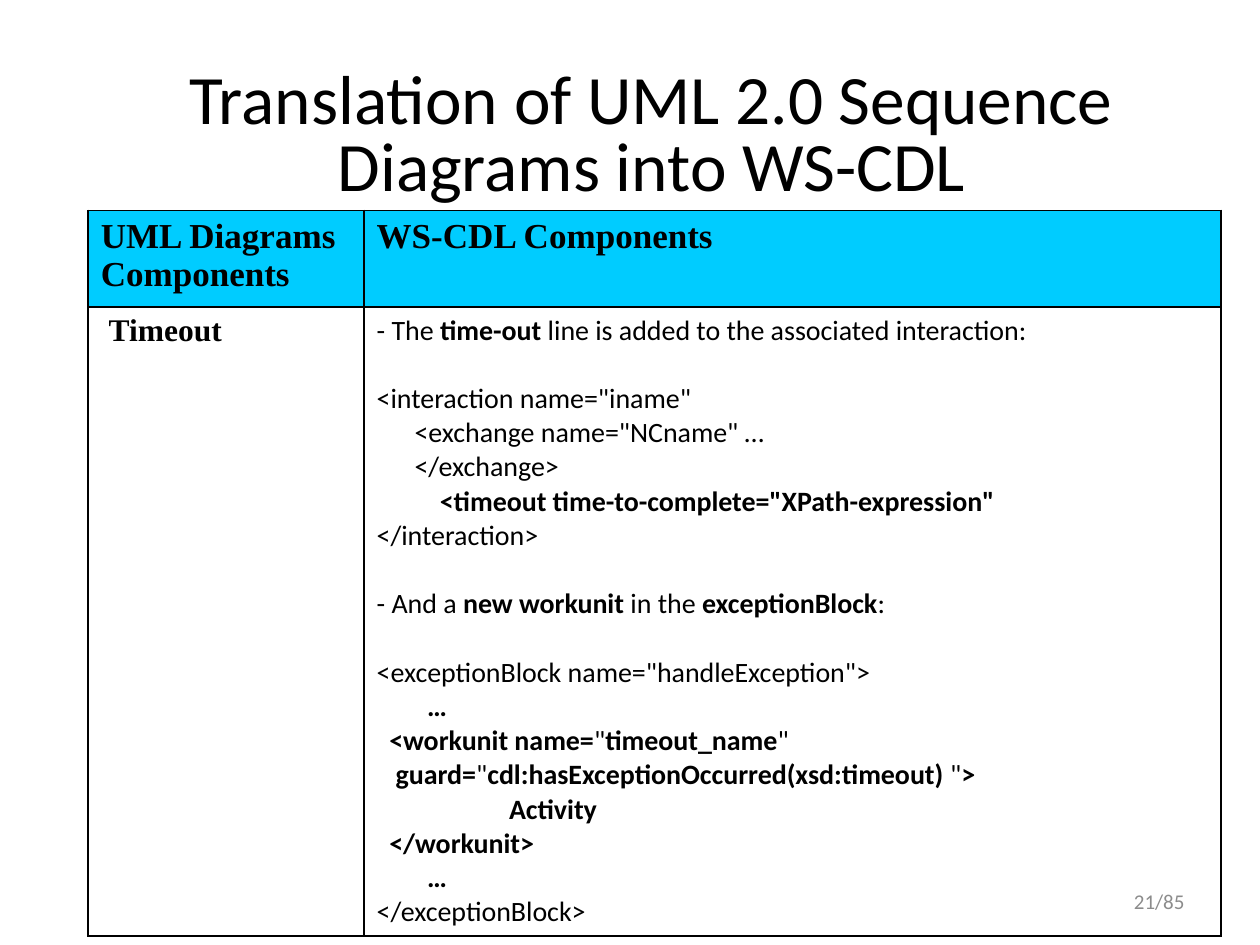
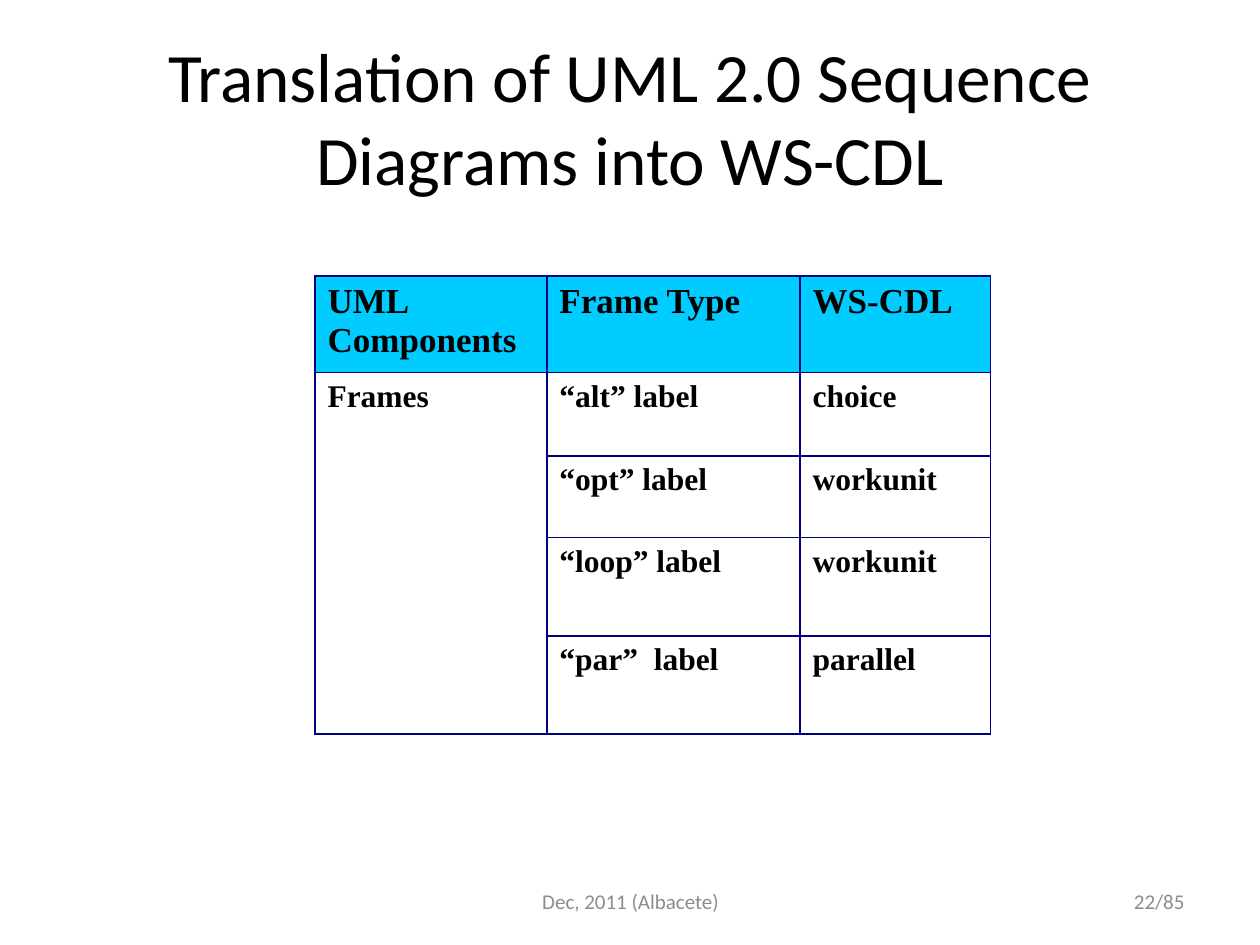
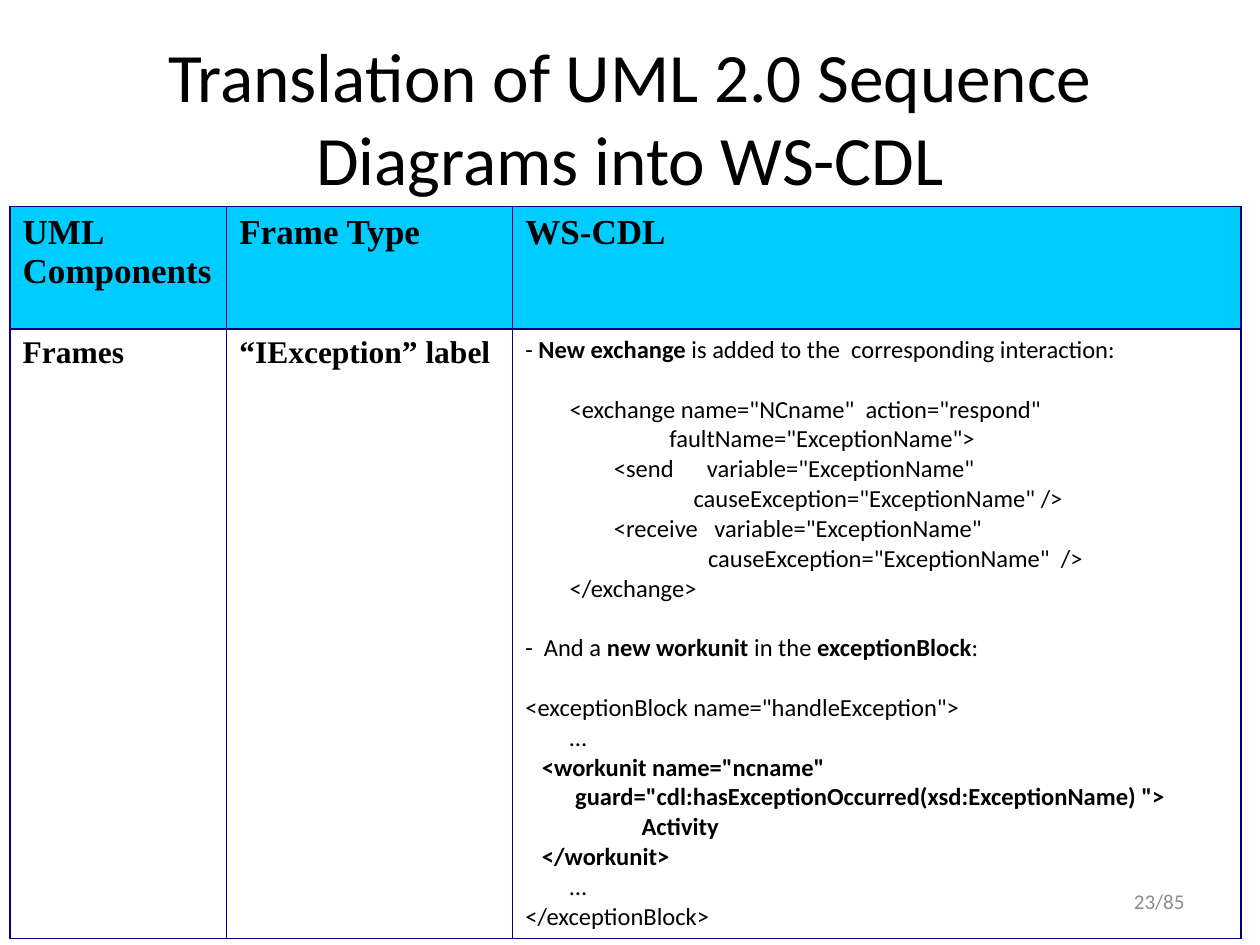
import dataclasses

import pptx
import pptx.dml.color
import pptx.enum.text
import pptx.oxml
import pptx.oxml.ns
import pptx.util

ALIGN = pptx.enum.text.PP_ALIGN
MIDDLE = pptx.enum.text.MSO_ANCHOR.MIDDLE
COLS, ROWS = 100, 75
UNIT = pptx.util.Inches(0.1)


@dataclasses.dataclass(frozen=True)
class Theme:
    ink: str = "000000"
    grey: str = "8C8C8C"
    head: str = "00CCFF"
    navy: str = "000080"
    sans: str = "Calibri"
    serif: str = "Times New Roman"
    hang: float = 3.8
    pitch: float = 1.22

    def look(self, name):
        """Return the font values and the colour of a named text style."""
        size, face, bold, tint = {
            "title": (39.6, self.sans, False, self.ink),
            "foot": (12, self.sans, False, self.grey),
            "head": (20, self.serif, True, self.ink),
            "label": (18, self.serif, True, self.ink),
            "code": (16, self.sans, False, self.ink),
            "small": (14, self.sans, False, self.ink),
        }[name]
        return {"size": pptx.util.Pt(size), "name": face, "bold": bold}, tint


@dataclasses.dataclass(frozen=True)
class Cell:
    text: str
    look: str = "label"
    pad: float = 0


THEME = Theme()
TITLE = "Translation of UML 2.0 Sequence Diagrams into WS-CDL"
TOTAL = 85
HIGH = (5, 3, 90, 12.5)
LOW = (6.7, 4.7, 90, 12.5)
DATE = (34.2, 69.5, 31.7, 4)
PAGE = (71.7, 69.5, 23.3, 4)

TIMEOUT = """- The *time-out* line is added to the associated interaction:

<interaction name="iname"
      <exchange name="NCname" …
      </exchange>
          *<timeout time-to-complete="XPath-expression"*
</interaction>

- And a *new workunit* in the *exceptionBlock*:

<exceptionBlock name="handleException">
       * …*
*  <workunit name=*"*timeout_name*"
*   guard=*"*cdl:hasExceptionOccurred(xsd:timeout)* "*>*
*                     Activity*
*  </workunit>*
*        …*
</exceptionBlock>"""

FAULT = """- *New exchange* is added to the  corresponding interaction:

        <exchange name="NCname"  action="respond"
                          faultName="ExceptionName">
                <send      variable="ExceptionName"
\t                   causeException="ExceptionName" />
                <receive   variable="ExceptionName"
                                 causeException="ExceptionName"  />
        </exchange>

-  And a *new workunit* in the *exceptionBlock*:

<exceptionBlock name="handleException">
        …
   *<workunit name="ncname"*
*         guard="cdl:hasExceptionOccurred(xsd:ExceptionName) ">*
*                     Activity*
*   </workunit>*
        …
</exceptionBlock>"""


def span(count):
    return pptx.util.Emu(round(count * UNIT))


def color(tint):
    return pptx.dml.color.RGBColor.from_string(tint)


def write(frame, text, look, align, pad=None):
    """Fill a frame line by line; stars switch bold, an empty line adds space."""
    font, tint = THEME.look(look)
    gap, first = 0, True
    for line in text.split("\n"):
        if not line:
            gap = font["size"] * THEME.pitch
            continue
        para = frame.paragraphs[0] if first else frame.add_paragraph()
        first = False
        para.alignment = align
        if pad is not None:
            props = para._p.get_or_add_pPr()
            props.set("marL", str(span(THEME.hang + pad)))
            props.set("indent", str(span(-THEME.hang)))
        if gap:
            para.space_before = pptx.util.Emu(round(gap))
            gap = 0
        for turn, part in enumerate(line.split("*")):
            if not part:
                continue
            run = para.add_run()
            run.text = part
            for key, value in font.items():
                setattr(run.font, key, value)
            run.font.bold = font["bold"] or turn % 2 == 1
            run.font.color.rgb = color(tint)


def label(slide, box, text, look, align, lead=None):
    frame = slide.shapes.add_textbox(*map(span, box)).text_frame
    frame.word_wrap = True
    frame.vertical_anchor = MIDDLE
    write(frame, text, look, align)
    frame.paragraphs[0].line_spacing = lead


def edge(cell, tint):
    """Draw the four borders of a cell."""
    props = cell._tc.get_or_add_tcPr()
    for side in "LRTB":
        props.append(pptx.oxml.parse_xml(
            f'<a:ln{side} {pptx.oxml.ns.nsdecls("a")} w="{pptx.util.Pt(1)}">'
            f'<a:solidFill><a:srgbClr val="{tint}"/></a:solidFill></a:ln{side}>'))


def grid(slide, box, wide, tall, heads, rows, tint, just):
    """Place a table whose columns and rows take shares of the box."""
    data = [[Cell(head, "head") for head in heads]] + rows
    table = slide.shapes.add_table(len(tall), len(wide), *map(span, box)).table
    table.first_row = table.horz_banding = False
    for col, share in zip(table.columns, wide):
        col.width = span(box[2] * share / sum(wide))
    for row, share in zip(table.rows, tall):
        row.height = span(box[3] * share / sum(tall))
    for y, line in enumerate(data):
        for x, item in enumerate(line):
            cell = table.cell(y, x)
            edge(cell, tint)
            if y == 0:
                cell.fill.solid()
                cell.fill.fore_color.rgb = color(THEME.head)
            else:
                cell.fill.background()
            if item is None:
                continue
            last = x == len(wide) - 1
            align = ALIGN.JUSTIFY if just and not last else ALIGN.LEFT
            pad = item.pad if item.look in ("head", "label") else None
            write(cell.text_frame, item.text, item.look, align, pad)
    if len(rows) > 1:
        table.cell(1, 0).merge(table.cell(len(rows), 0))


def sheet(deck, page, spot, table, lead=None, date=None):
    """Add a slide with title, table and footers."""
    slide = deck.slides.add_slide(deck.slide_layouts[6])
    if date:
        label(slide, DATE, date, "foot", ALIGN.CENTER)
    label(slide, spot, TITLE, "title", ALIGN.CENTER, lead)
    grid(slide, **table)
    label(slide, PAGE, f"{page}/{TOTAL}", "foot", ALIGN.RIGHT)


def main():
    deck = pptx.Presentation()
    deck.slide_width, deck.slide_height = span(COLS), span(ROWS)
    heads = ["UML\nComponents", "Frame Type", "WS-CDL"]
    kinds = [("“alt” label", "choice"), ("“opt” label", "workunit"),
             ("“loop” label", "workunit"), ("“par”  label", "parallel")]
    frames = [[None, Cell(kind), Cell(goal)] for kind, goal in kinds]
    frames[0][0] = Cell("Frames")

    sheet(deck, 21, LOW, dict(
        box=(7, 16.7, 89.9, 57.1), wide=(2.19, 6.8), tall=(0.72, 4.99),
        heads=["UML Diagrams\nComponents", "WS-CDL Components"],
        rows=[[Cell("Timeout", pad=0.63), Cell(TIMEOUT, "code")]],
        tint=THEME.ink, just=False), lead=0.8)
    sheet(deck, 22, HIGH, dict(
        box=(25, 21.9, 53.6, 35.9), wide=(1.84, 2.01, 1.51),
        tall=(0.72, 0.66, 0.65, 0.78, 0.78),
        heads=heads, rows=frames, tint=THEME.navy, just=True),
        date="Dec, 2011 (Albacete)")
    sheet(deck, 23, HIGH, dict(
        box=(0.8, 16.4, 97.7, 58.1), wide=(1.72, 2.27, 5.78), tall=(0.97, 4.84),
        heads=heads, rows=[[Cell("Frames"), Cell("“IException” label"),
                            Cell(FAULT, "small")]],
        tint=THEME.navy, just=True))
    deck.save("out.pptx")


if __name__ == "__main__":
    main()
